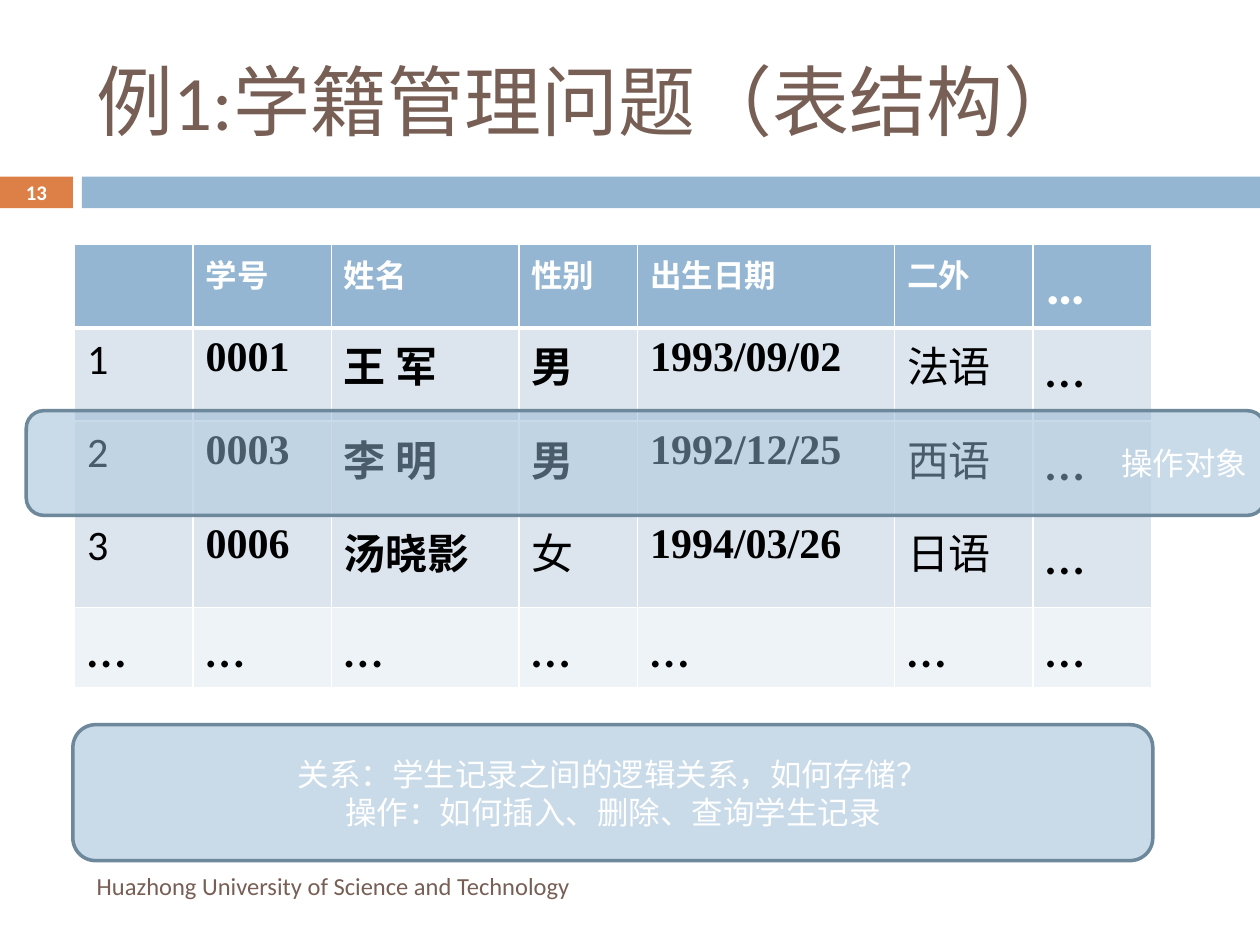
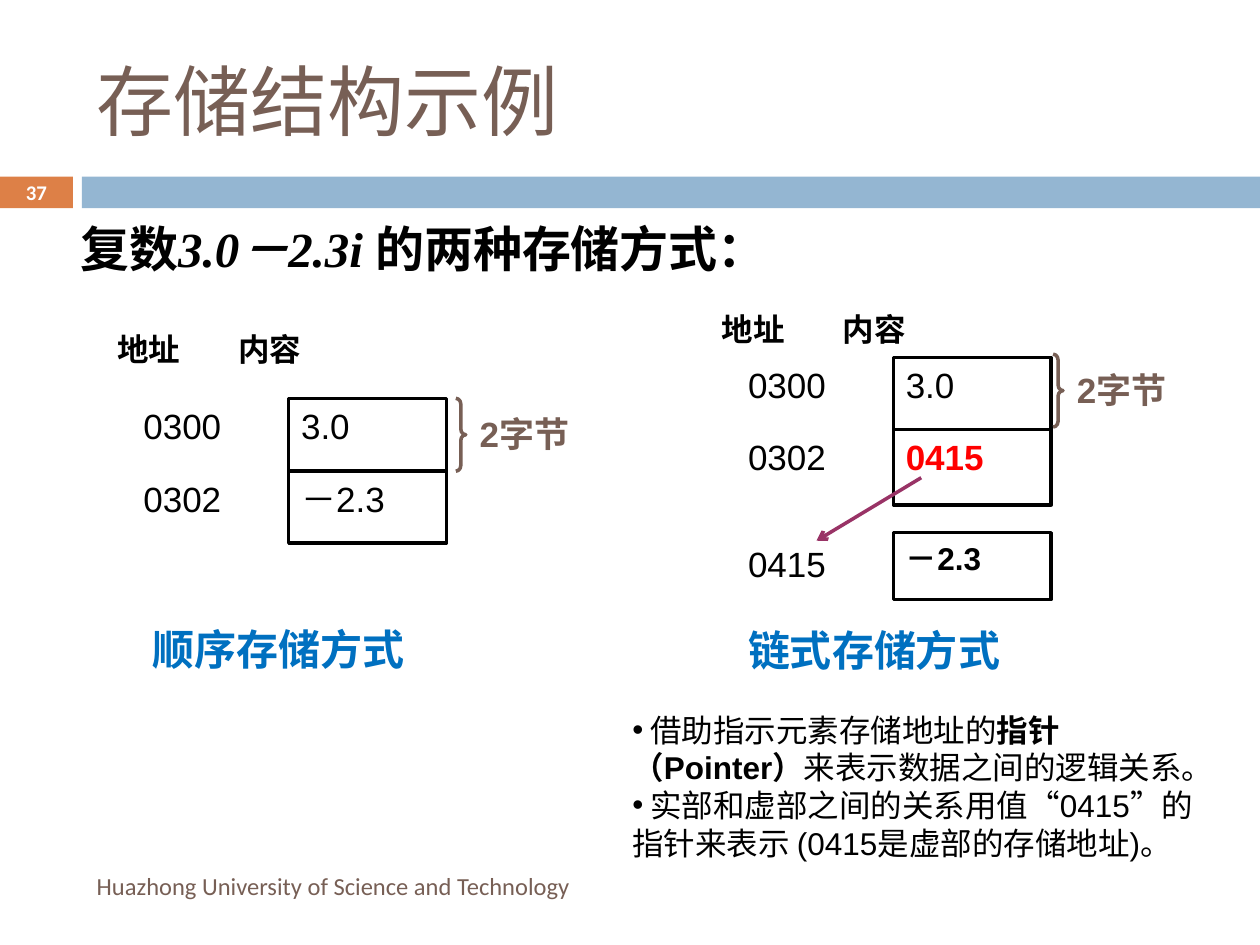
from dataclasses import dataclass

from lxml import etree
from pptx import Presentation
from pptx import util as u
from pptx.dml.color import RGBColor
from pptx.enum import shapes, text
from pptx.oxml.ns import qn

BLUE, ORANGE, BROWN = "94B6D2", "DD8047", "775F55"
WHITE, BLACK, RED, CAPTION_BLUE = "FFFFFF", "000000", "FF0000", "0070C0"
PANEL_LINE, ARROW = "6D879B", "993366"
HEADER_FILL, ROW_FILLS = BLUE, ("DCE5EE", "EEF3F7")
CHINESE, SERIF = "Noto Sans CJK SC", "Times New Roman"
LEFT, CENTER, RIGHT = text.PP_ALIGN.LEFT, text.PP_ALIGN.CENTER, text.PP_ALIGN.RIGHT
TOP, MIDDLE = text.MSO_ANCHOR.TOP, text.MSO_ANCHOR.MIDDLE
SHAPE = shapes.MSO_SHAPE


@dataclass(frozen=True)
class Box:
    """Place and size in centimetres."""
    left: float
    top: float
    width: float
    height: float

    def lengths(self) -> list:
        return [u.Cm(value) for value in (self.left, self.top, self.width, self.height)]


@dataclass(frozen=True)
class Style:
    size: float
    color: str = BLACK
    font: str = "Arial"
    bold: bool = False
    italic: bool = False


@dataclass(frozen=True)
class MemoryCell:
    address: str
    content: str
    top: float
    height: float
    style: Style = Style(20)
    address_shift: float = 0


@dataclass(frozen=True)
class StorageDiagram:
    left: float
    heading: Box
    brace: Box
    caption: str
    caption_box: Box
    cells: tuple


def rgb(color: str) -> RGBColor:
    return RGBColor.from_string(color)


def format_run(run, style: Style) -> None:
    font = run.font
    font.size, font.name = u.Pt(style.size), style.font
    font.bold, font.italic = style.bold, style.italic
    font.color.rgb = rgb(style.color)
    east_asian = etree.SubElement(run._r.rPr, qn("a:ea"))
    east_asian.set("typeface", CHINESE)


def write(text_frame, content: str, style: Style, align=LEFT, anchor=TOP) -> None:
    text_frame.word_wrap = True
    text_frame.vertical_anchor = anchor
    text_frame.text = content
    for paragraph in text_frame.paragraphs:
        paragraph.alignment = align
        for run in paragraph.runs:
            format_run(run, style)


def add_runs(paragraph, *parts: tuple) -> None:
    for content, style in parts:
        run = paragraph.add_run()
        run.text = content
        format_run(run, style)


def add_text(slide, box: Box, content: str, style: Style, align=LEFT, anchor=TOP):
    textbox = slide.shapes.add_textbox(*box.lengths())
    write(textbox.text_frame, content, style, align, anchor)
    return textbox.text_frame


def add_preset(slide, kind, box: Box, fill: str = "", line: str = "", alpha: int = 100):
    shape = slide.shapes.add_shape(kind, *box.lengths())
    shape.shadow.inherit = False
    if fill:
        shape.fill.solid()
        shape.fill.fore_color.rgb = rgb(fill)
        if alpha < 100:
            color = shape._element.spPr.find(qn("a:solidFill"))[0]
            etree.SubElement(color, qn("a:alpha")).set("val", str(alpha * 1000))
    else:
        shape.fill.background()
    if line:
        shape.line.color.rgb = rgb(line)
        shape.line.width = u.Pt(2)
    else:
        shape.line.fill.background()
    return shape


def add_panel(slide, box: Box, content: str, align) -> None:
    panel = add_preset(slide, SHAPE.ROUNDED_RECTANGLE, box, BLUE, PANEL_LINE, 50)
    write(panel.text_frame, content, Style(18, WHITE, "Calibri"), align, MIDDLE)


def add_arrow(slide, start: tuple, end: tuple) -> None:
    points = [u.Cm(value) for value in start + end]
    arrow = slide.shapes.add_connector(shapes.MSO_CONNECTOR.STRAIGHT, *points)
    arrow.line.color.rgb = rgb(ARROW)
    arrow.line.width = u.Pt(2)
    etree.SubElement(arrow.line._get_or_add_ln(), qn("a:tailEnd")).set("type", "arrow")
    etree.SubElement(arrow._element.spPr, qn("a:effectLst"))


def new_slide(presentation, title: str, number: int):
    """Add a blank slide with the shared title, bands, number and footer."""
    slide = presentation.slides.add_slide(presentation.slide_layouts[6])
    add_preset(slide, SHAPE.RECTANGLE, Box(0, 3.56, 1.47, 0.64), ORANGE)
    add_preset(slide, SHAPE.RECTANGLE, Box(1.65, 3.56, 23.75, 0.64), BLUE)
    add_text(slide, Box(1.7, 0.64, 22.66, 2.74), title,
             Style(44, BROWN, "Calibri"), anchor=MIDDLE)
    add_text(slide, Box(1.7, 17.35, 15.06, 1.02),
             "Huazhong University of Science and Technology",
             Style(14, BROWN, "Calibri"), anchor=MIDDLE)
    add_text(slide, Box(0, 3.53, 1.47, 0.69), str(number),
             Style(11.9, WHITE, "Calibri", True), CENTER, MIDDLE)
    return slide


def set_borders(cell, bottom: float) -> None:
    properties = cell._tc.get_or_add_tcPr()
    widths = {"lnL": 1, "lnR": 1, "lnT": 1, "lnB": bottom}
    for position, (side, width) in enumerate(widths.items()):
        line = etree.Element(qn(f"a:{side}"), w=str(u.Pt(width)))
        fill = etree.SubElement(line, qn("a:solidFill"))
        etree.SubElement(fill, qn("a:srgbClr")).set("val", WHITE)
        properties.insert(position, line)


def student_style(row: int, column: int, content: str) -> Style:
    size = 32 if content == "…" else 18 if row == 0 else 24
    serif = 1 <= column <= 4 and content not in ("…", "女")
    return Style(size, BLACK if row else WHITE, SERIF if serif else "Calibri",
                 serif or row == 0)


def add_student_table(slide) -> None:
    rows = (
        ("", "学号", "姓名", "性别", "出生日期", "二外", "…"),
        ("1", "0001", "王 军", "男", "1993/09/02", "法语", "…"),
        ("2", "0003", "李 明", "男", "1992/12/25", "西语", "…"),
        ("3", "0006", "汤晓影", "女", "1994/03/26", "日语", "…"),
        ("…",) * 7,
    )
    widths = (2.39, 2.79, 3.78, 2.39, 5.18, 2.79, 2.39)
    heights = (1.68, 1.88, 1.88, 1.88, 1.52)
    box = Box(1.5, 4.93, sum(widths), sum(heights))
    table = slide.shapes.add_table(len(rows), len(widths), *box.lengths()).table
    for column, width in zip(table.columns, widths):
        column.width = u.Cm(width)
    for row_index, (row, height) in enumerate(zip(rows, heights)):
        table.rows[row_index].height = u.Cm(height)
        for column_index, content in enumerate(row):
            cell = table.cell(row_index, column_index)
            write(cell.text_frame, content,
                  student_style(row_index, column_index, content))
            cell.fill.solid()
            fill = ROW_FILLS[(row_index - 1) % 2] if row_index else HEADER_FILL
            cell.fill.fore_color.rgb = rgb(fill)
            set_borders(cell, 1 if row_index else 3)


def add_storage_diagram(slide, diagram: StorageDiagram) -> None:
    width = 3.18
    for cell in diagram.cells:
        add_text(slide, Box(diagram.left, cell.top + cell.address_shift, width, cell.height),
                 cell.address, Style(20))
        content_box = Box(diagram.left + width, cell.top, width, cell.height)
        rectangle = add_preset(slide, SHAPE.RECTANGLE, content_box, line=BLACK)
        write(rectangle.text_frame, cell.content, cell.style)

    heading = add_text(slide, diagram.heading, "地址\t内容", Style(18, bold=True))
    properties = heading.paragraphs[0]._p.get_or_add_pPr()
    tabs = etree.SubElement(properties, qn("a:tabLst"))
    etree.SubElement(tabs, qn("a:tab"), pos=str(u.Cm(2.44)), algn="l")

    brace = add_preset(slide, SHAPE.RIGHT_BRACE, diagram.brace, line=BROWN)
    brace.adjustments[0] = 0.58
    label_box = Box(diagram.brace.left + 0.23, diagram.brace.top - 0.1, 2.54, 1.35)
    label = add_text(slide, label_box, "2字节", Style(20, BROWN, bold=True),
                     text.PP_ALIGN.JUSTIFY)
    label.paragraphs[0].line_spacing = 1.3
    add_text(slide, diagram.caption_box, diagram.caption,
             Style(24, CAPTION_BLUE, bold=True))


def add_pointer_notes(slide) -> None:
    plain, strong = Style(18), Style(18, bold=True)
    notes = (
        ((" 借助指示元素存储地址的", plain), ("指针 （Pointer）", strong),
         ("来表示数据之间的逻辑关系。", plain)),
        ((" 实部和虚部之间的关系用值“0415”的指针来表示 (0415是虚部的存储地址)。", plain),),
    )
    frame = add_text(slide, Box(12.5, 14.2, 11.91, 3.33), "", plain)
    for index, parts in enumerate(notes):
        paragraph = frame.add_paragraph() if index else frame.paragraphs[0]
        properties = paragraph._p.get_or_add_pPr()
        etree.SubElement(properties, qn("a:buFont")).set("typeface", "Arial")
        etree.SubElement(properties, qn("a:buChar")).set("char", "•")
        add_runs(paragraph, *parts)


def build_records_slide(presentation) -> None:
    slide = new_slide(presentation, "例1:学籍管理问题（表结构）", 13)
    add_student_table(slide)
    add_panel(slide, Box(0.53, 8.28, 24.97, 2.11), "操作对象", RIGHT)
    add_panel(slide, Box(1.47, 14.61, 21.77, 2.74),
              "关系：学生记录之间的逻辑关系，如何存储？\n操作：如何插入、删除、查询学生记录", CENTER)


def build_storage_slide(presentation) -> None:
    slide = new_slide(presentation, "存储结构示例", 37)
    chinese = Style(28, font=CHINESE, bold=True)
    heading = add_text(slide, Box(1.37, 4.29, 21.13, 1.45), "", chinese)
    add_runs(heading.paragraphs[0], ("复数", chinese),
             ("3.0－2.3i ", Style(28, font=SERIF, bold=True, italic=True)),
             ("的两种存储方式：", chinese))
    sequential = StorageDiagram(
        2.64, Box(2.11, 6.53, 6.5, 1.27), Box(9.19, 8.03, 0.2, 1.47),
        "顺序存储方式", Box(2.82, 12.45, 7.42, 1.3),
        (MemoryCell("0300", "3.0", 8.03, 1.47),
         MemoryCell("0302", "－2.3", 9.5, 1.45)))
    linked = StorageDiagram(
        14.83, Box(14.3, 6.12, 6.5, 1.27), Box(21.23, 7.14, 0.2, 1.47),
        "链式存储方式", Box(14.83, 12.47, 7.42, 1.3),
        (MemoryCell("0300", "3.0", 7.21, 1.45),
         MemoryCell("0302", "0415", 8.66, 1.52, Style(20, RED, bold=True)),
         MemoryCell("0415", "－2.3", 10.74, 1.35, Style(18, bold=True), 0.08)))
    for diagram in (sequential, linked):
        add_storage_diagram(slide, diagram)
    add_arrow(slide, (18.57, 9.63), (16.46, 10.9))
    add_pointer_notes(slide)


def main() -> None:
    presentation = Presentation()
    presentation.slide_width, presentation.slide_height = u.Cm(25.4), u.Cm(19.05)
    build_records_slide(presentation)
    build_storage_slide(presentation)
    presentation.save("out.pptx")


if __name__ == "__main__":
    main()
